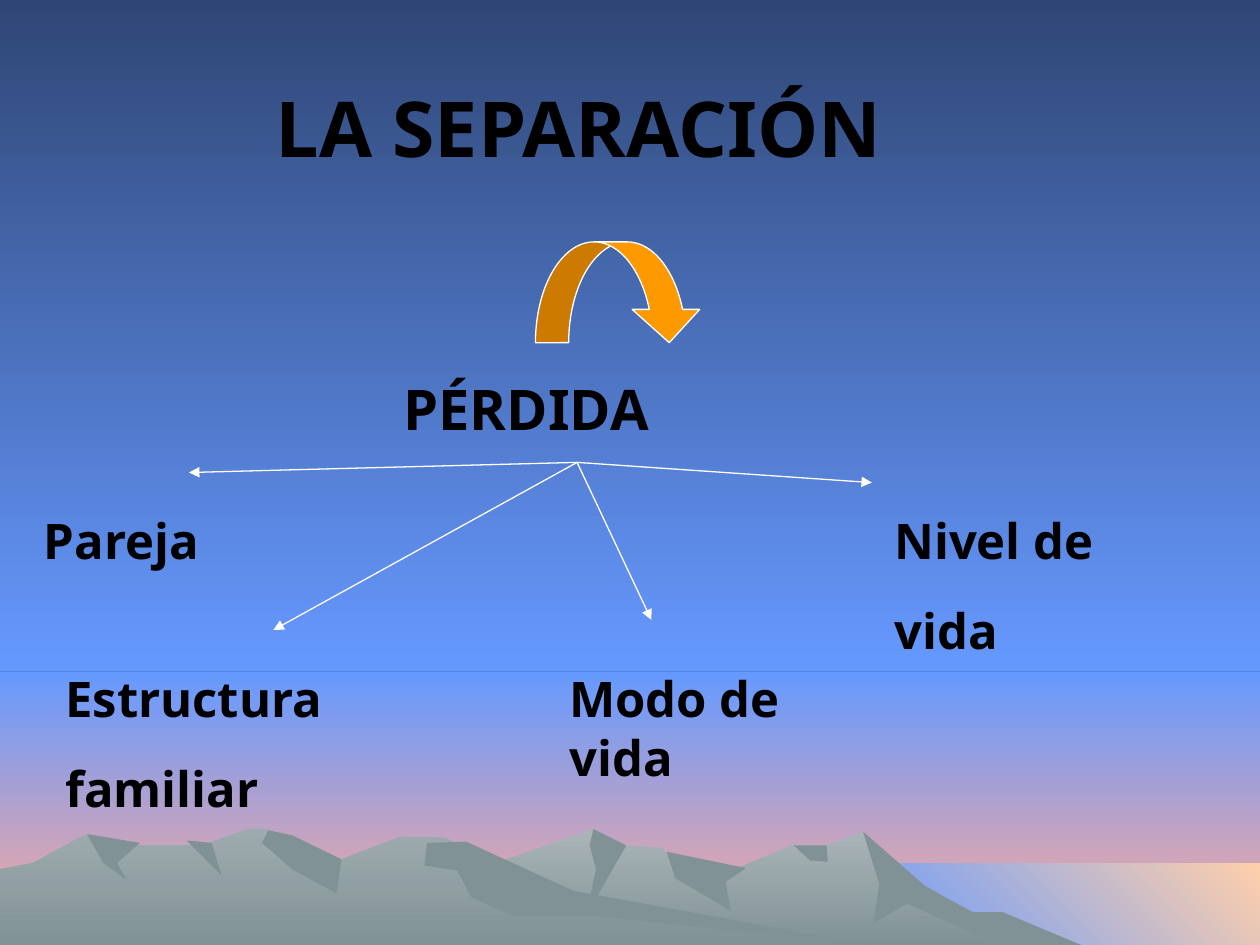
from dataclasses import dataclass

from lxml.etree import SubElement
from pptx import Presentation
from pptx.dml.color import RGBColor
from pptx.dml.fill import FillFormat
from pptx.enum.shapes import MSO_CONNECTOR, MSO_SHAPE
from pptx.enum.text import MSO_ANCHOR, MSO_AUTO_SIZE, PP_ALIGN
from pptx.oxml.ns import qn
from pptx.shapes.shapetree import SlideShapes
from pptx.text.text import TextFrame
from pptx.util import Emu, Pt

SCALE = 9144
WIDTH, HEIGHT = 1000, 750
HORIZON = 533
FONT = "Noto Sans"
BLACK = RGBColor(0x00, 0x00, 0x00)
WHITE = RGBColor(0xFF, 0xFF, 0xFF)
ORANGE = RGBColor(0xFF, 0x99, 0x00)
NIGHT = RGBColor(0x2F, 0x46, 0x75)
BLUE = RGBColor(0x66, 0x99, 0xFF)
PINK = RGBColor(0xFF, 0xAA, 0x99)
SAND = RGBColor(0xFF, 0xCF, 0xAB)
PALE_ROCK = RGBColor(0xA9, 0xB5, 0xB8)
MID_ROCK = RGBColor(0x9E, 0xAB, 0xAE)
ROCK = RGBColor(0x80, 0x92, 0x96)
DOWN = 270
DOWN_LEFT = 225


@dataclass(frozen=True)
class Band:
    left: int
    top: int
    width: int
    height: int
    start: RGBColor
    end: RGBColor
    angle: int = DOWN


@dataclass(frozen=True)
class Ridge:
    points: tuple[tuple[int, int], ...]
    top_color: RGBColor = ROCK


@dataclass(frozen=True)
class Label:
    lines: tuple[str, ...]
    left: int
    top: int
    width: int
    height: int
    size: int = 28
    inset: int = 10


BANDS = (
    Band(0, HORIZON, WIDTH, HEIGHT - HORIZON, BLUE, PINK),
    Band(0, 0, WIDTH, HORIZON, NIGHT, BLUE),
    Band(683, 685, WIDTH - 683, HEIGHT - 685, SAND, BLUE, DOWN_LEFT),
)

RIDGES = (
    Ridge(((821, HEIGHT), (723, 698), (685, 660), (656, 671), (629, 671), (566, 697),
           (536, 690), (526, 673), (497, 671), (471, 658), (394, 685), (258, HEIGHT)),
          PALE_ROCK),
    Ridge(((858, HEIGHT), (796, 724), (771, 724), (734, 703), (685, 660), (698, 702),
           (693, 733), (720, 717), (792, HEIGHT))),
    Ridge(((471, 658), (468, 671), (473, 690), (465, 727), (497, 671))),
    Ridge(((529, 676), (536, 697), (580, 723), (576, 700), (592, 689))),
    Ridge(((630, 671), (643, 683), (657, 684), (656, 671))),
    Ridge(((690, HEIGHT), (432, 712), (354, 665), (318, 664), (271, 682), (212, 658),
           (196, 658), (160, 671), (94, 671), (68, 662), (26, 685), (0, 690), (0, HEIGHT)),
          MID_ROCK),
    Ridge(((213, 659), (208, 669), (232, 690), (267, 709), (271, 682), (232, 663))),
    Ridge(((370, 668), (339, 669), (337, 687), (363, 691), (374, 712), (407, 727),
           (472, 727), (690, HEIGHT), (455, 707))),
    Ridge(((148, 667), (176, 695), (168, 669))),
    Ridge(((69, 662), (82, 685), (100, 698), (93, 685), (111, 669))),
)

LABELS = (
    Label(("PÉRDIDA",), 267, 292, 458, 64, size=32, inset=53),
    Label(("Pareja",), 25, 400, 208, 57),
    Label(("Estructura", "familiar"), 42, 525, 258, 128),
    Label(("Modo de vida",), 442, 525, 192, 104),
    Label(("Nivel de", "vida"), 700, 400, 250, 128),
)

ARROW_START = (458, 367)
ARROW_ENDS = ((150, 375), (217, 500), (517, 492), (692, 383))


def px(length: int) -> Emu:
    return Emu(length * SCALE)


def paint_gradient(fill: FillFormat, start: RGBColor, end: RGBColor, angle: int = DOWN) -> None:
    fill.gradient()
    fill.gradient_angle = angle
    for stop, color in zip(fill.gradient_stops, (start, end)):
        stop.color.rgb = color


def draw_band(shapes: SlideShapes, band: Band) -> None:
    box = shapes.add_shape(MSO_SHAPE.RECTANGLE, px(band.left), px(band.top),
                           px(band.width), px(band.height))
    box.shadow.inherit = False
    box.line.fill.background()
    paint_gradient(box.fill, band.start, band.end, band.angle)


def draw_ridge(shapes: SlideShapes, ridge: Ridge) -> None:
    first, *rest = ridge.points
    builder = shapes.build_freeform(*first, scale=SCALE)
    builder.add_line_segments(rest, close=True)
    rock = builder.convert_to_shape()
    rock.shadow.inherit = False
    rock.line.fill.background()
    if ridge.top_color == ROCK:
        rock.fill.solid()
        rock.fill.fore_color.rgb = ROCK
    else:
        paint_gradient(rock.fill, ridge.top_color, ROCK)


def write(frame: TextFrame, lines: tuple[str, ...], *, size: int, inset: int) -> None:
    frame.word_wrap = True
    frame.auto_size = MSO_AUTO_SIZE.NONE
    frame.vertical_anchor = MSO_ANCHOR.TOP
    frame.margin_left = px(inset)
    for index, line in enumerate(lines):
        para = frame.add_paragraph() if index else frame.paragraphs[0]
        para.alignment = PP_ALIGN.LEFT
        para.space_before = Pt(17.5 if index else 0)
        para.line_spacing = Pt(size * 1.21)
        span = para.add_run()
        span.text = line
        span.font.name = FONT
        span.font.size = Pt(size)
        span.font.bold = True
        span.font.color.rgb = BLACK


def draw_title(shapes: SlideShapes) -> None:
    title = shapes.title
    title.left, title.top, title.width, title.height = px(58), px(58), px(808), px(517)
    write(title.text_frame, ("LA SEPARACIÓN",), size=44, inset=161)
    shapes._spTree.append(title._element)


def draw_label(shapes: SlideShapes, label: Label) -> None:
    box = shapes.add_textbox(px(label.left), px(label.top), px(label.width), px(label.height))
    write(box.text_frame, label.lines, size=label.size, inset=label.inset)


def draw_curved_arrow(shapes: SlideShapes) -> None:
    arrow = shapes.add_shape(MSO_SHAPE.CURVED_DOWN_ARROW, px(425), px(192), px(133), px(80))
    for index, share in enumerate((0.33, 0.67, 0.33)):
        arrow.adjustments[index] = share
    arrow.shadow.inherit = False
    arrow.fill.solid()
    arrow.fill.fore_color.rgb = ORANGE
    arrow.line.color.rgb = WHITE
    arrow.line.width = Pt(0.75)


def draw_arrow(shapes: SlideShapes, end: tuple[int, int]) -> None:
    arrow = shapes.add_connector(MSO_CONNECTOR.STRAIGHT, *map(px, ARROW_START + end))
    arrow.line.color.rgb = WHITE
    arrow.line.width = Pt(0.75)
    SubElement(arrow.line._get_or_add_ln(), qn("a:tailEnd"), type="triangle")
    SubElement(arrow._element.spPr, qn("a:effectLst"))


def main() -> None:
    deck = Presentation()
    deck.slide_width, deck.slide_height = px(WIDTH), px(HEIGHT)
    page = deck.slides.add_slide(deck.slide_layouts[5])
    paint_gradient(page.background.fill, NIGHT, BLUE)
    for band in BANDS:
        draw_band(page.shapes, band)
    for ridge in RIDGES:
        draw_ridge(page.shapes, ridge)
    draw_title(page.shapes)
    draw_curved_arrow(page.shapes)
    for label in LABELS:
        draw_label(page.shapes, label)
    for end in ARROW_ENDS:
        draw_arrow(page.shapes, end)
    deck.save("out.pptx")


if __name__ == "__main__":
    main()
